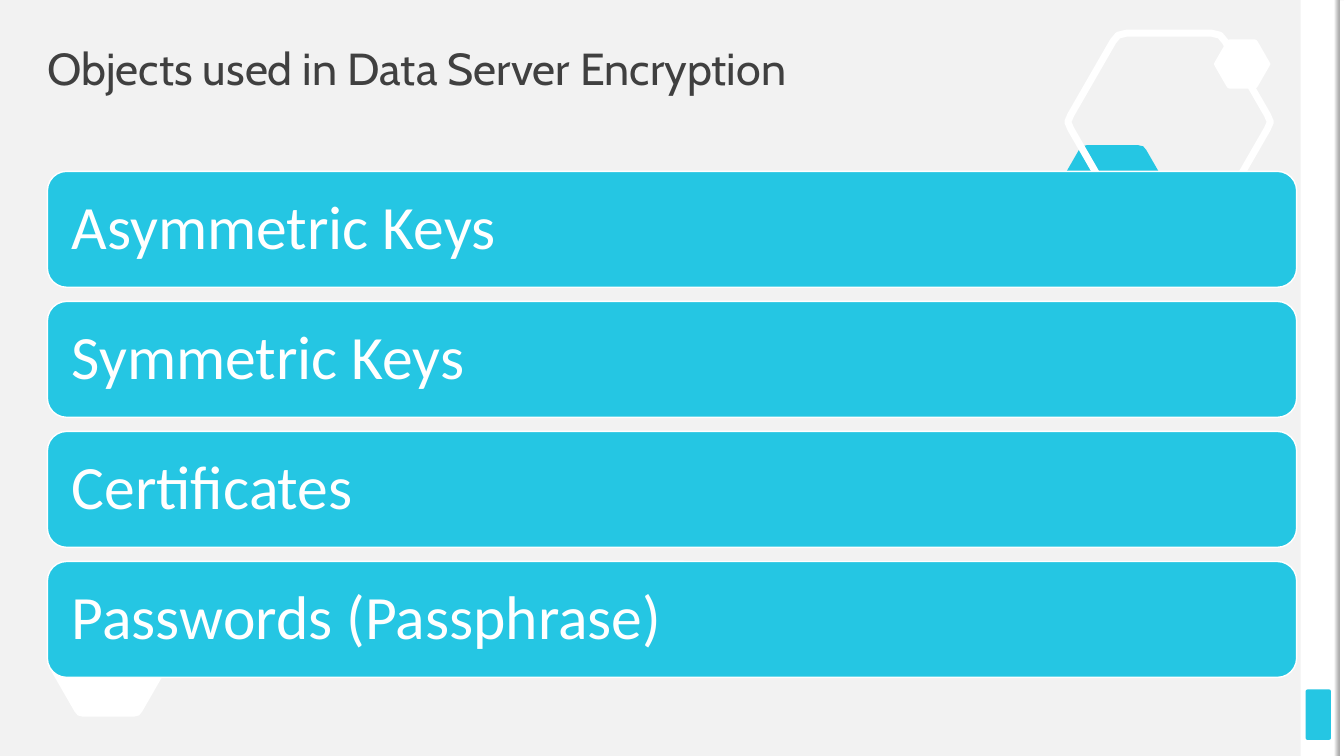
from pptx import Presentation
from pptx.dml.color import RGBColor
from pptx.enum.shapes import MSO_SHAPE
from pptx.enum.text import MSO_ANCHOR, PP_ALIGN
from pptx.util import Inches, Pt

RECT, ROUNDED = MSO_SHAPE.RECTANGLE, MSO_SHAPE.ROUNDED_RECTANGLE
MIDDLE, LEFT = MSO_ANCHOR.MIDDLE, PP_ALIGN.LEFT

COLORS = {"white": "FFFFFF", "cyan": "25C6E3", "backdrop": "F2F2F2",
          "edge": "A6A6A6", "title": "404040"}


def rgb(name):
    return RGBColor.from_string(COLORS[name])


def write(box, text, font, size, color, inset=0):
    frame = box.text_frame
    frame.word_wrap = True
    frame.vertical_anchor = MIDDLE
    frame.margin_left = frame.margin_right = Inches(inset)
    frame.margin_top = frame.margin_bottom = Inches(inset)
    paragraph = frame.paragraphs[0]
    paragraph.text = text
    paragraph.alignment = LEFT
    paragraph.line_spacing = 0.9
    paragraph.font.name = font
    paragraph.font.size = Pt(size)
    paragraph.font.color.rgb = rgb(color)


deck = Presentation()
deck.slide_width, deck.slide_height = Inches(13.33), Inches(7.5)
slide = deck.slides.add_slide(deck.slide_layouts[6])
slide.background.fill.solid()
slide.background.fill.fore_color.rgb = rgb("backdrop")
shapes = slide.shapes

side_parts = [
    (RECT, 12.9, 0, 0.39, 7.5, "white", 0),
    (ROUNDED, 12.95, 6.84, 0.25, 0.5, "cyan", 0),
    (RECT, 9.56, 3.73, 7.5, 0.05, "white", 90),
    (RECT, 9.51, 3.73, 7.5, 0.05, "edge", 90),
]
for preset, left, top, width, height, color, turn in side_parts:
    part = shapes.add_shape(preset, Inches(left), Inches(top), Inches(width), Inches(height))
    part.rotation = turn
    part.shadow.inherit = False
    part.line.fill.background()
    if preset == ROUNDED:
        part.adjustments[0] = 0.07
    if color == "edge":
        part.fill.gradient()
        part.fill.gradient_angle = 90
        for stop, shade in zip(part.fill.gradient_stops, ("backdrop", "edge")):
            stop.color.rgb = rgb(shade)
    else:
        part.fill.solid()
        part.fill.fore_color.rgb = rgb(color)

FULL_WIDTH, FULL_HEIGHT = 2.01, 1.76
left_half = [(0.58, 0), (0.5, 0.02), (0.45, 0.08), (0.03, 0.81), (0, 0.88),
             (0.03, 0.95), (0.45, 1.68), (0.5, 1.74), (0.58, 1.76)]
outline = left_half + [(FULL_WIDTH - x, FULL_HEIGHT - y) for x, y in left_half]

hexagons = [
    (0.47, 6.05, 1.21, "white", True),
    (10.43, 1.44, 1.21, "cyan", True),
    (10.59, 0.33, FULL_WIDTH, "white", False),
    (12.04, 0.39, 0.56, "white", True),
]
for left, top, width, color, filled in hexagons:
    scale = width / FULL_WIDTH
    points = [(Inches(left + x * scale), Inches(top + y * scale)) for x, y in outline]
    builder = shapes.build_freeform(*points[0])
    builder.add_line_segments(points[1:], close=True)
    hexagon = builder.convert_to_shape()
    hexagon.shadow.inherit = False
    if filled:
        hexagon.fill.solid()
        hexagon.fill.fore_color.rgb = rgb(color)
        hexagon.line.fill.background()
    else:
        hexagon.fill.background()
        hexagon.line.color.rgb = rgb(color)
        hexagon.line.width = Pt(5)

heading = shapes.add_textbox(Inches(0.47), Inches(0.47), Inches(12.39), Inches(0.47))
write(heading, "Objects used in Data Server Encryption", "Cabin", 32, "title")

encryption_objects = ["Asymmetric Keys", "Symmetric Keys", "Certificates",
                      "Passwords (Passphrase)"]
for row, label in enumerate(encryption_objects):
    top = 1.7 + row * 1.29
    bar = shapes.add_shape(ROUNDED, Inches(0.47), Inches(top), Inches(12.39), Inches(1.15))
    bar.shadow.inherit = False
    bar.fill.solid()
    bar.fill.fore_color.rgb = rgb("cyan")
    bar.line.color.rgb = rgb("white")
    bar.line.width = Pt(1)
    caption = shapes.add_textbox(Inches(0.53), Inches(top + 0.06), Inches(12.28), Inches(1.04))
    write(caption, label, "Calibri", 44, "white", inset=0.18)

deck.save("out.pptx")
